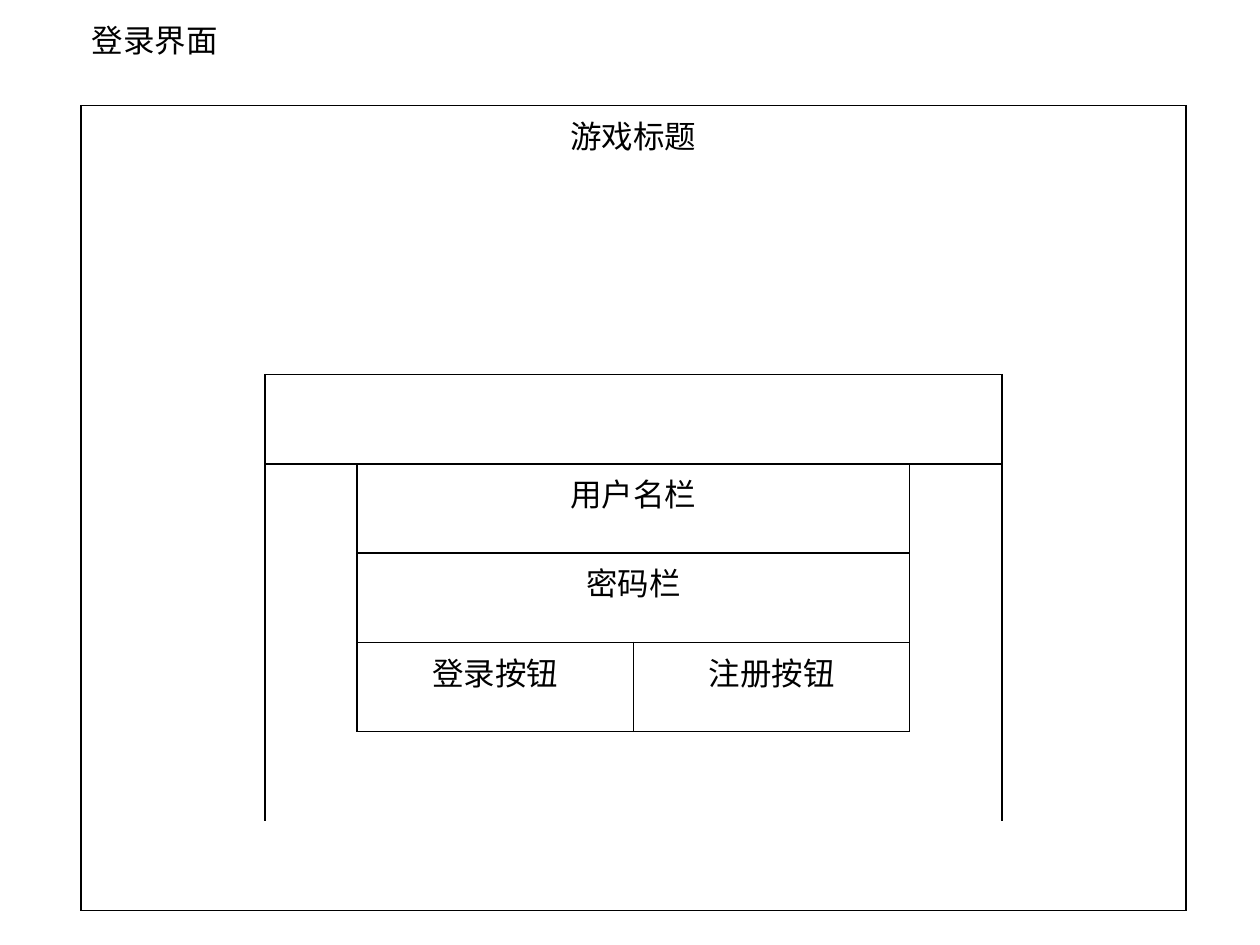
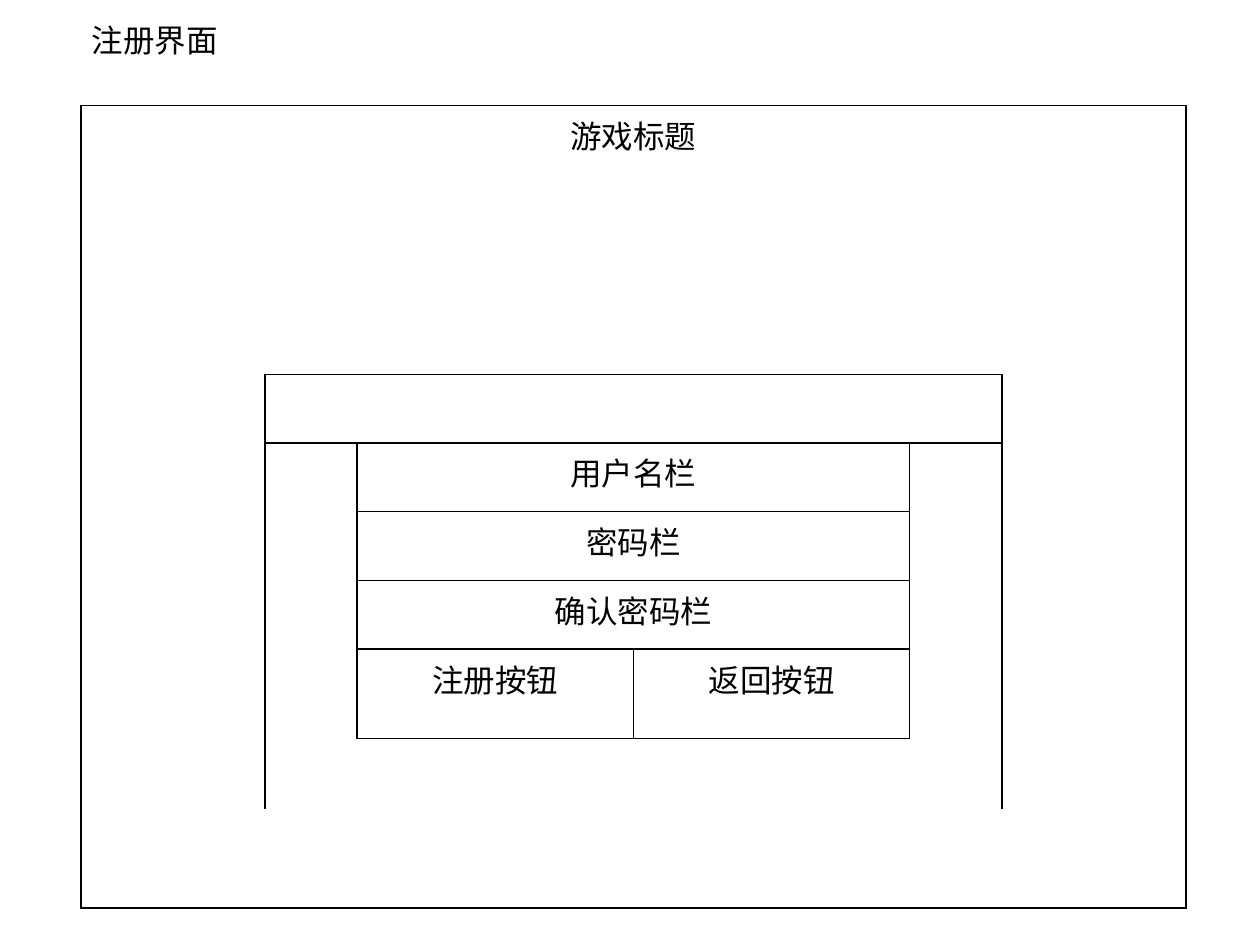
from dataclasses import dataclass

from lxml.etree import SubElement
from pptx import Presentation
from pptx.dml.color import RGBColor
from pptx.enum.text import MSO_ANCHOR as Anchor, MSO_AUTO_SIZE as AutoSize, PP_ALIGN as Align
from pptx.oxml.ns import qn
from pptx.util import Cm, Pt

# Shared style
FONT = "Calibri"
BLACK = "000000"
LINE_WIDTH = Pt(1)
PLAIN_TABLE_STYLE = "{2D5ABB26-0587-4C30-8999-92F81FD0307C}"

# Shared layout, in centimetres
TABLE_LEFT, TABLE_TOP, TABLE_WIDTH = 1.63, 2.13, 22.28
COLUMN_WEIGHTS = (2, 1, 3, 3, 1, 2)
LAST_COLUMN = len(COLUMN_WEIGHTS) - 1


@dataclass(frozen=True)
class Area:
    """A block of merged cells with its outlined sides (L, R, T, B)."""
    row: int
    column: int
    rows: int
    columns: int
    sides: str
    text: str = ""


@dataclass(frozen=True)
class Screen:
    title: str
    fields: tuple[str, ...]
    buttons: tuple[str, str]
    row_heights: tuple[float, ...]


SCREENS = (
    Screen("登录界面", ("用户名栏", "密码栏"), ("登录按钮", "注册按钮"),
           (5.42,) + (1.8,) * 6),
    Screen("注册界面", ("用户名栏", "密码栏", "确认密码栏"), ("注册按钮", "返回按钮"),
           (5.42, 1.38, 1.38, 1.39, 1.39, 1.8, 1.42, 2)),
)


def rgb(color: str) -> RGBColor:
    return RGBColor.from_string(color)


def write_text(text_frame, text: str, *, size: float = 18, color: str = BLACK,
               align: Align = Align.LEFT) -> None:
    text_frame.text = text
    paragraph = text_frame.paragraphs[0]
    paragraph.alignment = align
    paragraph.font.name = FONT
    paragraph.font.size = Pt(size)
    paragraph.font.color.rgb = rgb(color)


def outline_cell(cell, sides: str, color: str = BLACK) -> None:
    """Draw the given sides, in the order the schema asks for."""
    properties = cell._tc.get_or_add_tcPr()
    for index, side in enumerate(s for s in "LRTB" if s in sides):
        line = SubElement(properties, qn(f"a:ln{side}"), w=str(LINE_WIDTH))
        fill = SubElement(line, qn("a:solidFill"))
        SubElement(fill, qn("a:srgbClr"), val=color)
        properties.insert(index, line)


def draw_area(table, area: Area) -> None:
    bottom = area.row + area.rows - 1
    right = area.column + area.columns - 1
    origin = table.cell(area.row, area.column)
    if area.rows * area.columns > 1:
        origin.merge(table.cell(bottom, right))
    write_text(origin.text_frame, area.text, align=Align.CENTER)

    for row in range(area.row, bottom + 1):
        for column in range(area.column, right + 1):
            cell = table.cell(row, column)
            cell.fill.background()
            on_edge = {"L": column == area.column, "R": column == right,
                       "T": row == area.row, "B": row == bottom}
            is_origin = (row, column) == (area.row, area.column)
            outline_cell(cell, "".join(s for s in area.sides if is_origin or on_edge[s]))


def screen_areas(screen: Screen) -> list[Area]:
    last_row = len(screen.row_heights) - 1
    field_count = len(screen.fields)
    button_row = 2 + field_count
    form_rows = field_count + 1
    return [
        # Outer frame
        Area(0, 0, 1, LAST_COLUMN + 1, "LRT", "游戏标题"),
        Area(1, 0, last_row - 1, 1, "L"),
        Area(1, LAST_COLUMN, last_row - 1, 1, "R"),
        Area(last_row, 0, 1, LAST_COLUMN + 1, "LRB"),
        # Inner frame, open at the bottom
        Area(1, 1, 1, 4, "LRT"),
        Area(2, 1, form_rows, 1, "L"),
        Area(2, 4, form_rows, 1, "R"),
        Area(button_row + 1, 1, 1, 4, "LR"),
        # Form fields and buttons
        *(Area(2 + i, 2, 1, 2, "LRTB", text) for i, text in enumerate(screen.fields)),
        *(Area(button_row, 2 + i, 1, 1, "LRT", text) for i, text in enumerate(screen.buttons)),
    ]


def add_title(slide, text: str) -> None:
    title = slide.shapes.title
    title.left, title.top, title.width, title.height = Cm(1.6), Cm(0.3), Cm(3.07), Cm(1.03)
    frame = title.text_frame
    write_text(frame, text)
    frame.word_wrap = False
    frame.auto_size = AutoSize.SHAPE_TO_FIT_TEXT
    frame.vertical_anchor = Anchor.TOP


def add_wireframe(slide, screen: Screen) -> None:
    heights = screen.row_heights
    table = slide.shapes.add_table(
        len(heights), len(COLUMN_WEIGHTS), Cm(TABLE_LEFT), Cm(TABLE_TOP),
        Cm(TABLE_WIDTH), Cm(sum(heights))).table
    table.first_row = table.horz_banding = False
    table._tbl.tblPr.find(qn("a:tableStyleId")).text = PLAIN_TABLE_STYLE
    for column, weight in zip(table.columns, COLUMN_WEIGHTS):
        column.width = Cm(TABLE_WIDTH * weight / sum(COLUMN_WEIGHTS))
    for row, height in zip(table.rows, heights):
        row.height = Cm(height)
    for area in screen_areas(screen):
        draw_area(table, area)


def main() -> None:
    presentation = Presentation()
    presentation.slide_width, presentation.slide_height = Cm(25.4), Cm(19.05)
    title_only = presentation.slide_layouts[5]
    for screen in SCREENS:
        slide = presentation.slides.add_slide(title_only)
        add_title(slide, screen.title)
        add_wireframe(slide, screen)
    presentation.save("out.pptx")


if __name__ == "__main__":
    main()
